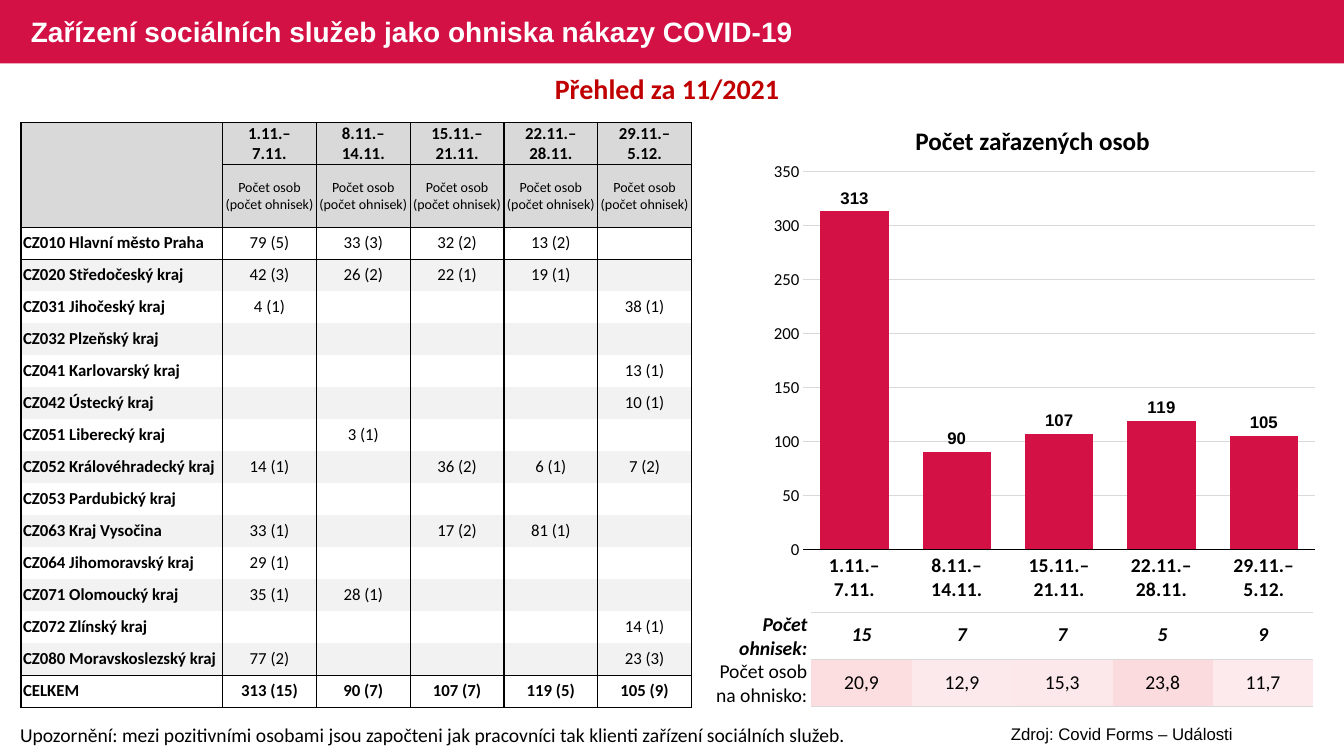
from lxml import etree
from pptx import Presentation
from pptx import util as u
from pptx.chart.data import CategoryChartData
from pptx.dml.color import RGBColor
from pptx.enum import chart as ch, shapes, text
from pptx.oxml import ns, parse_xml

COLORS = {"crimson": "D31145", "red": "C00000", "black": "000000", "white": "FFFFFF",
          "header": "D9D9D9", "band": "F2F2F2", "rule": "D9D9D9"}
LEFT, CENTER, RIGHT = text.PP_ALIGN.LEFT, text.PP_ALIGN.CENTER, text.PP_ALIGN.RIGHT
NO_STYLE = "{2D5ABB26-0587-4C30-8999-92F81FD0307C}"

WEEKS = ["1.11.–\n7.11.", "8.11.–\n14.11.", "15.11.–\n21.11.", "22.11.–\n28.11.", "29.11.–\n5.12."]
PERSONS = [313, 90, 107, 119, 105]
OUTBREAKS = ["15", "7", "7", "5", "9"]
PER_OUTBREAK = [("20,9", "FCDEE1"), ("12,9", "FCE9EC"), ("15,3", "FCE8EB"),
                ("23,8", "FCDBDE"), ("11,7", "FCEAED")]
REGIONS = [
    ("CZ010 Hlavní město Praha", "79 (5)", "33 (3)", "32 (2)", "13 (2)", ""),
    ("CZ020 Středočeský kraj", "42 (3)", "26 (2)", "22 (1)", "19 (1)", ""),
    ("CZ031 Jihočeský kraj", "4 (1)", "", "", "", "38 (1)"),
    ("CZ032 Plzeňský kraj", "", "", "", "", ""),
    ("CZ041 Karlovarský kraj", "", "", "", "", "13 (1)"),
    ("CZ042 Ústecký kraj", "", "", "", "", "10 (1)"),
    ("CZ051 Liberecký kraj", "", "3 (1)", "", "", ""),
    ("CZ052 Královéhradecký kraj", "14 (1)", "", "36 (2)", "6 (1)", "7 (2)"),
    ("CZ053 Pardubický kraj", "", "", "", "", ""),
    ("CZ063 Kraj Vysočina", "33 (1)", "", "17 (2)", "81 (1)", ""),
    ("CZ064 Jihomoravský kraj", "29 (1)", "", "", "", ""),
    ("CZ071 Olomoucký kraj", "35 (1)", "28 (1)", "", "", ""),
    ("CZ072 Zlínský kraj", "", "", "", "", "14 (1)"),
    ("CZ080 Moravskoslezský kraj", "77 (2)", "", "", "", "23 (3)"),
    ("CELKEM", "313 (15)", "90 (7)", "107 (7)", "119 (5)", "105 (9)"),
]


def rgb(name):
    return RGBColor.from_string(COLORS.get(name, name))


def style_font(font, size, name="Calibri", color="black", bold=False, italic=False):
    font.size, font.name, font.bold, font.italic = u.Pt(size), name, bold, italic
    font.color.rgb = rgb(color)


def add_label(slide, box, words, size, align=LEFT, anchor=text.MSO_ANCHOR.TOP, **font):
    frame = slide.shapes.add_textbox(*map(u.Pt, box)).text_frame
    frame.word_wrap = True
    frame.vertical_anchor = anchor
    line = frame.paragraphs[0]
    line.text, line.alignment = words, align
    style_font(line.font, size, **font)
    return line


def add_grid(slide, left, top, widths, heights):
    """Add a table without any style and return it."""
    frame = slide.shapes.add_table(len(heights), len(widths), u.Pt(left), u.Pt(top),
                                   u.Pt(sum(widths)), u.Pt(sum(heights)))
    grid = frame.table
    grid.first_row = grid.horz_banding = False
    frame._element.find(".//" + ns.qn("a:tableStyleId")).text = NO_STYLE
    for column, width in zip(grid.columns, widths):
        column.width = u.Pt(width)
    for row, height in zip(grid.rows, heights):
        row.height = u.Pt(height)
    return grid


def fill_cell(cell, words="", size=12, align=CENTER, fill=None, borders=None,
              line_color="black", margins=(0.7, 0.7), **font):
    """Write and style a cell; borders maps sides (L, R, T, B) to widths in points."""
    cell.margin_left, cell.margin_right = map(u.Pt, margins)
    cell.margin_top = cell.margin_bottom = 0
    cell.vertical_anchor = text.MSO_ANCHOR.MIDDLE
    properties = cell._tc.get_or_add_tcPr()
    for side in "LRTB":
        if side in (borders or {}):
            line = etree.SubElement(properties, ns.qn("a:ln" + side), w=str(u.Pt(borders[side])))
            solid = etree.SubElement(line, ns.qn("a:solidFill"))
            etree.SubElement(solid, ns.qn("a:srgbClr"), val=COLORS[line_color])
    if fill:
        cell.fill.solid()
        cell.fill.fore_color.rgb = rgb(fill)
    else:
        cell.fill.background()
    line = cell.text_frame.paragraphs[0]
    line.text, line.alignment = words, align
    style_font(line.font, size, **font)


def add_region_table(slide):
    grid = add_grid(slide, 15, 87.8, [144] + [67] * 5, [29.8, 44.5] + [22.9] * len(REGIONS))
    sides = {"L": 1, "R": 1}
    fill_cell(grid.cell(0, 0), fill="header", borders={**sides, "T": 1})
    fill_cell(grid.cell(1, 0), fill="header", borders={**sides, "B": 0.5})
    grid.cell(0, 0).merge(grid.cell(1, 0))
    for c, week in enumerate(WEEKS, 1):
        fill_cell(grid.cell(0, c), week, fill="header", bold=True, borders={**sides, "T": 1, "B": 1})
        fill_cell(grid.cell(1, c), "Počet osob (počet ohnisek)", 10, fill="header",
                  borders={**sides, "T": 1, "B": 0.5})
    last = len(REGIONS) - 1
    for r, region in enumerate(REGIONS):
        borders = dict(sides)
        if r in (0, last):
            borders["T"] = 0.5 if r == 0 else 1
        if r >= last - 1:
            borders["B"] = 1
        for c, words in enumerate(region):
            is_name = c == 0
            fill_cell(grid.cell(r + 2, c), words, align=LEFT if is_name else CENTER,
                      fill="band" if r % 2 else None, borders=borders,
                      margins=(1.5, 1.5) if is_name else (0.7, 0.7), bold=is_name or r == last)


def add_outbreak_table(slide):
    grid = add_grid(slide, 579.6, 436.5, [71.7] * 5, [34.2] * 2)
    for c, (count, (ratio, tint)) in enumerate(zip(OUTBREAKS, PER_OUTBREAK)):
        fill_cell(grid.cell(0, c), count, 14, bold=True, italic=True)
        fill_cell(grid.cell(1, c), ratio, 14, fill=tint)


def add_outbreak_labels(slide):
    """Row labels, with the thin rules that run on across the figures."""
    grid = add_grid(slide, 506.9, 437.5, [72.7] + [51.2] * 7, [33.6] * 2)
    for r, words in enumerate(["Počet ohnisek:", "Počet osob na ohnisko:"]):
        fill_cell(grid.cell(r, 0), words, 14, RIGHT, margins=(0.7, 2.9), bold=r == 0, italic=r == 0)
        for c in range(1, 8):
            fill_cell(grid.cell(r, c), borders={"T": 1, "B": 1}, line_color="rule")


def add_person_chart(slide):
    data = CategoryChartData()
    data.categories = WEEKS
    data.add_series("Počet zařazených osob", PERSONS)
    chart = slide.shapes.add_chart(ch.XL_CHART_TYPE.COLUMN_CLUSTERED, u.Pt(544.3), u.Pt(108.7),
                                   u.Pt(403.9), u.Pt(327.6), data).chart
    chart.has_legend = chart.has_title = False
    style_font(chart.font, 14, "Arial", bold=True)

    weeks, persons = chart.category_axis, chart.value_axis
    weeks.major_tick_mark = persons.major_tick_mark = ch.XL_TICK_MARK.NONE
    style_font(weeks.tick_labels.font, 14, bold=True)
    style_font(persons.tick_labels.font, 12)
    weeks.format.line.color.rgb = rgb("black")
    weeks.format.line.width = u.Pt(0.75)
    persons.format.line.fill.background()
    persons.minimum_scale, persons.maximum_scale, persons.major_unit = 0, 350, 50
    rules = persons.major_gridlines.format.line
    rules.color.rgb, rules.width = rgb("rule"), u.Pt(0.75)

    plot = chart.plots[0]
    plot.gap_width, plot.vary_by_categories = 50, False
    bars = plot.series[0]
    bars.format.fill.solid()
    bars.format.fill.fore_color.rgb = rgb("crimson")
    labels = bars.data_labels
    labels.show_value = True
    labels.position = ch.XL_LABEL_POSITION.OUTSIDE_END
    style_font(labels.font, 12, "Arial", bold=True)

    area = chart._chartSpace.find(".//" + ns.qn("c:plotArea"))
    for layout in area.findall(ns.qn("c:layout")):
        area.remove(layout)
    places = "".join(f'<c:{tag} val="{val}"/>' for tag, val in [
        ("layoutTarget", "inner"), ("xMode", "edge"), ("yMode", "edge"),
        ("x", 0.073), ("y", 0.042), ("w", 0.905), ("h", 0.824)])
    area.insert(0, parse_xml(f'<c:layout {ns.nsdecls("c")}><c:manualLayout>{places}'
                             '</c:manualLayout></c:layout>'))


def add_banner(slide):
    banner = slide.shapes.add_shape(shapes.MSO_SHAPE.RECTANGLE, 0, 0, u.Pt(960), u.Pt(45.4))
    banner.shadow.inherit = False
    banner.fill.solid()
    banner.fill.fore_color.rgb = rgb("crimson")
    banner.line.fill.background()


def main():
    deck = Presentation()
    deck.slide_width, deck.slide_height = u.Pt(960), u.Pt(540)
    slide = deck.slides.add_slide(deck.slide_layouts[6])
    add_banner(slide)
    add_outbreak_table(slide)
    add_label(slide, (7.2, 512.6, 613.4, 24.5), "Upozornění: mezi pozitivními osobami jsou započteni "
              "jak pracovníci tak klienti zařízení sociálních služeb.", 14)
    title = add_label(slide, (15, 1.4, 585.4, 45.4),
                      "Zařízení sociálních služeb jako ohniska nákazy COVID-19", 20,
                      anchor=text.MSO_ANCHOR.MIDDLE, name="Arial", color="white", bold=True)
    title.line_spacing = 0.9
    add_label(slide, (650.2, 513.4, 302.4, 21.8), "Zdroj: Covid Forms – Události", 12, CENTER, name="Arial")
    add_label(slide, (15, 47.5, 923, 31.5), "Přehled za 11/2021", 20, CENTER, color="red", bold=True)
    add_region_table(slide)
    add_person_chart(slide)
    add_label(slide, (544.3, 85.7, 386.6, 29), "Počet zařazených osob", 18, CENTER, bold=True)
    add_outbreak_labels(slide)
    deck.save("out.pptx")


if __name__ == "__main__":
    main()
